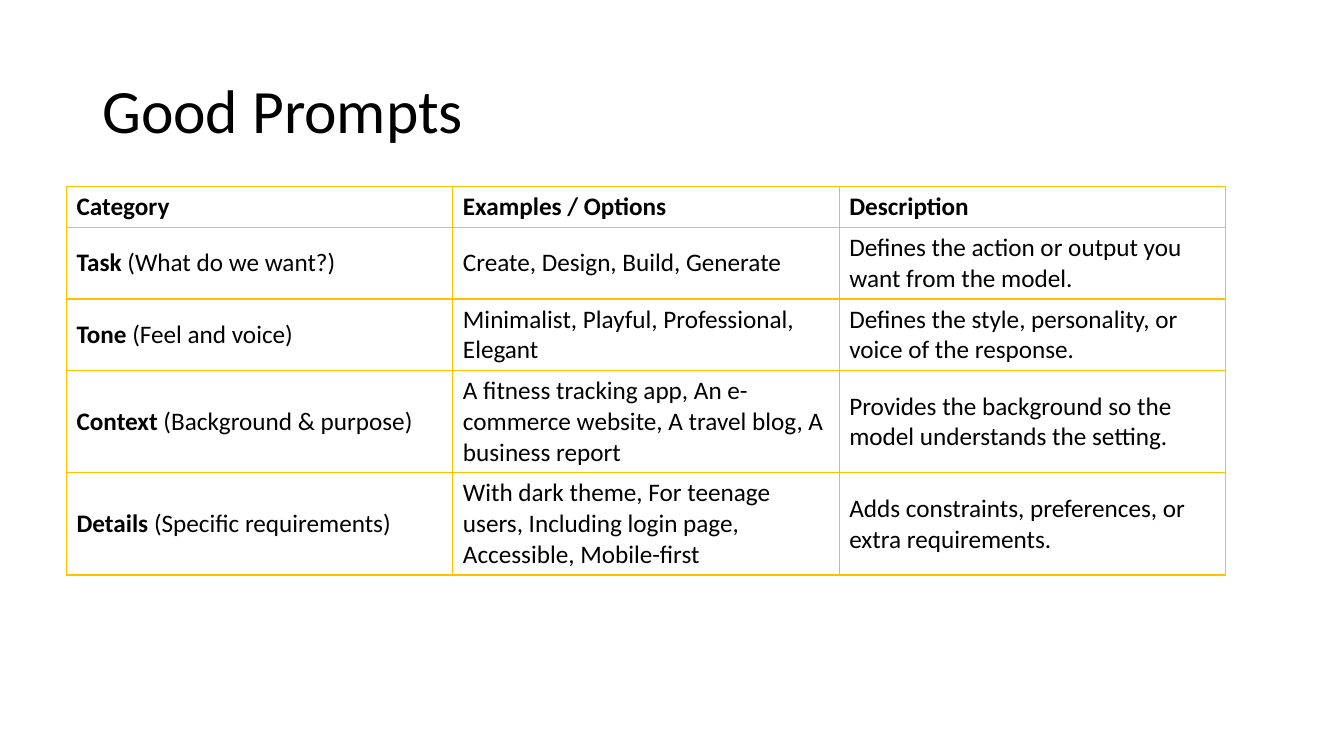
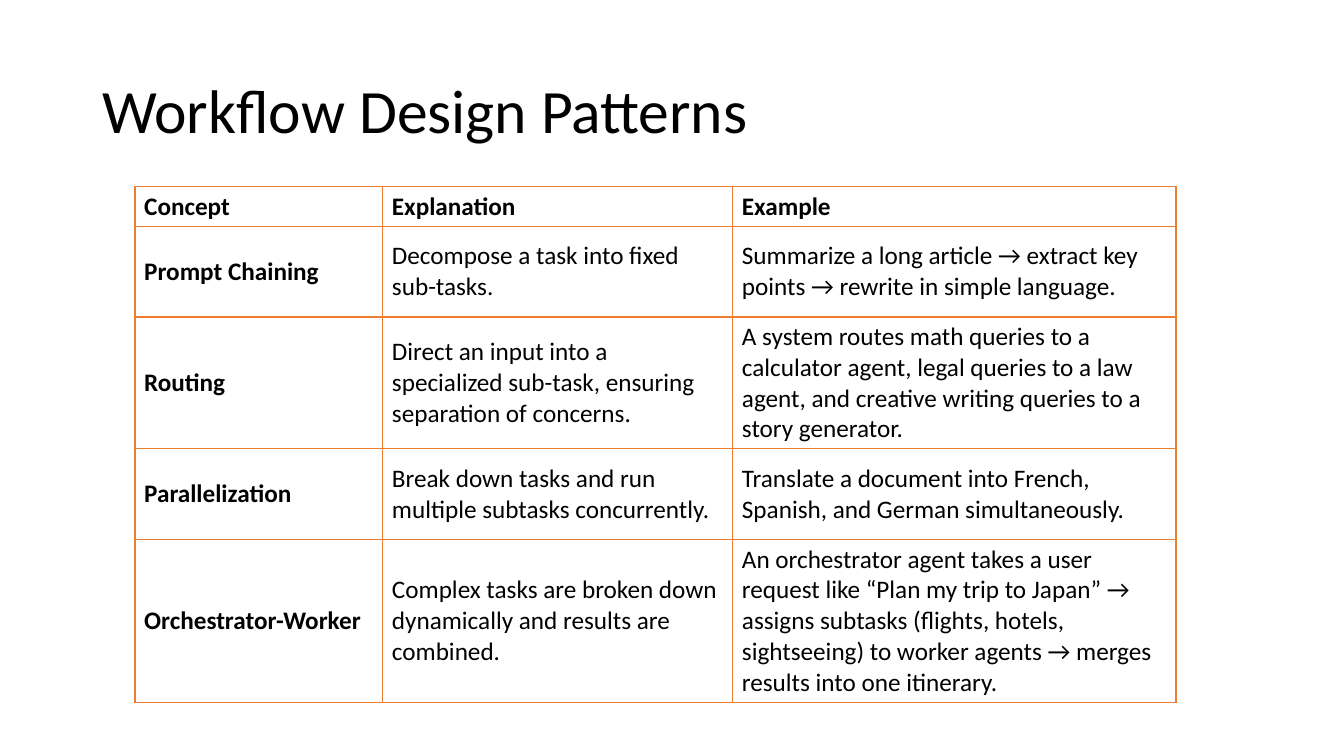
from dataclasses import dataclass

from lxml.etree import SubElement
from pptx import Presentation
from pptx.dml.color import RGBColor
from pptx.enum.text import MSO_ANCHOR
from pptx.oxml.ns import qn
from pptx.util import Pt


@dataclass(frozen=True)
class Theme:
    font: str = "Calibri"
    text: str = "000000"
    gold: str = "FFC000"
    orange: str = "ED7D31"
    title_size: float = 44
    body_size: float = 18
    border: float = 1


THEME = Theme()
SLIDE_SIZE = (960, 540)
TITLE_BOX = (66, 29, 828, 104)
TABLE_TOP = 133.2

PROMPT_ROWS = [
    ("*Category", "*Examples / Options", "*Description"),
    ("*Task* (What do we want?)", "Create, Design, Build, Generate",
     "Defines the action or output you want from the model."),
    ("*Tone* (Feel and voice)", "Minimalist, Playful, Professional, Elegant",
     "Defines the style, personality, or voice of the response."),
    ("*Context* (Background & purpose)",
     "A fitness tracking app, An e-commerce website, A travel blog, A business report",
     "Provides the background so the model understands the setting."),
    ("*Details* (Specific requirements)",
     "With dark theme, For teenage users, Including login page, Accessible, Mobile-first",
     "Adds constraints, preferences, or extra requirements."),
]

PATTERN_ROWS = [
    ("*Concept", "*Explanation", "*Example"),
    ("*Prompt Chaining", "Decompose a task into fixed sub-tasks.",
     "Summarize a long article → extract key points → rewrite in simple language."),
    ("*Routing",
     "Direct an input into a specialized sub-task, ensuring separation of concerns.",
     "A system routes math queries to a calculator agent, legal queries to a law agent, "
     "and creative writing queries to a story generator."),
    ("*Parallelization", "Break down tasks and run multiple subtasks concurrently.",
     "Translate a document into French, Spanish, and German simultaneously."),
    ("*Orchestrator-Worker",
     "Complex tasks are broken down dynamically and results are combined.",
     "An orchestrator agent takes a user request like “Plan my trip to Japan” → assigns "
     "subtasks (flights, hotels, sightseeing) to worker agents → merges results into one "
     "itinerary."),
]


def add_runs(p, text, size):
    """Add text to a paragraph; each asterisk switches bold on or off."""
    for i, part in enumerate(text.split("*")):
        if part:
            r = p.add_run()
            r.text = part
            r.font.name = THEME.font
            r.font.size = Pt(size)
            r.font.bold = i % 2 == 1
            r.font.color.rgb = RGBColor.from_string(THEME.text)


def add_title(s, box, text):
    tf = s.shapes.add_textbox(*map(Pt, box)).text_frame
    tf.word_wrap = True
    tf.vertical_anchor = MSO_ANCHOR.MIDDLE
    p = tf.paragraphs[0]
    p.line_spacing = 0.9
    add_runs(p, text, THEME.title_size)


def set_borders(cell, color):
    tc_pr = cell._tc.get_or_add_tcPr()
    for side in ("lnL", "lnR", "lnT", "lnB"):
        ln = SubElement(tc_pr, qn(f"a:{side}"), w=str(Pt(THEME.border)))
        fill = SubElement(ln, qn("a:solidFill"))
        SubElement(fill, qn("a:srgbClr"), val=color)


def add_grid(s, left, top, widths, heights, rows, color, margins):
    """Draw an unfilled table with borders of one colour; margins are (side, end)."""
    frame = s.shapes.add_table(len(rows), len(widths), Pt(left), Pt(top),
                               Pt(sum(widths)), Pt(sum(heights)))
    table = frame.table
    table.first_row = table.horz_banding = False
    for column, width in zip(table.columns, widths):
        column.width = Pt(width)
    side, end = map(Pt, margins)
    for row, height, texts in zip(table.rows, heights, rows):
        row.height = Pt(height)
        for cell, text in zip(row.cells, texts):
            set_borders(cell, color)
            cell.fill.background()
            cell.vertical_anchor = MSO_ANCHOR.MIDDLE
            cell.margin_left = cell.margin_right = side
            cell.margin_top = cell.margin_bottom = end
            add_runs(cell.text_frame.paragraphs[0], text, THEME.body_size)


def add_table_slide(prs, title, left, widths, heights, rows, color, margins):
    s = prs.slides.add_slide(prs.slide_layouts[6])
    add_title(s, TITLE_BOX, title)
    add_grid(s, left, TABLE_TOP, widths, heights, rows, color, margins)


def main():
    prs = Presentation()
    prs.slide_width, prs.slide_height = map(Pt, SLIDE_SIZE)
    add_table_slide(prs, "Good Prompts", 47.5, [276] * 3, [29.2, 51.2, 51.2, 73, 73],
                    PROMPT_ROWS, THEME.gold, (7.2, 3.6))
    add_table_slide(prs, "Workflow Design Patterns", 96.5, [177, 250, 316.5],
                    [28.5, 64.8, 94, 64.8, 116.5], PATTERN_ROWS, THEME.orange, (6.5, 3.2))
    prs.save("out.pptx")


if __name__ == "__main__":
    main()
